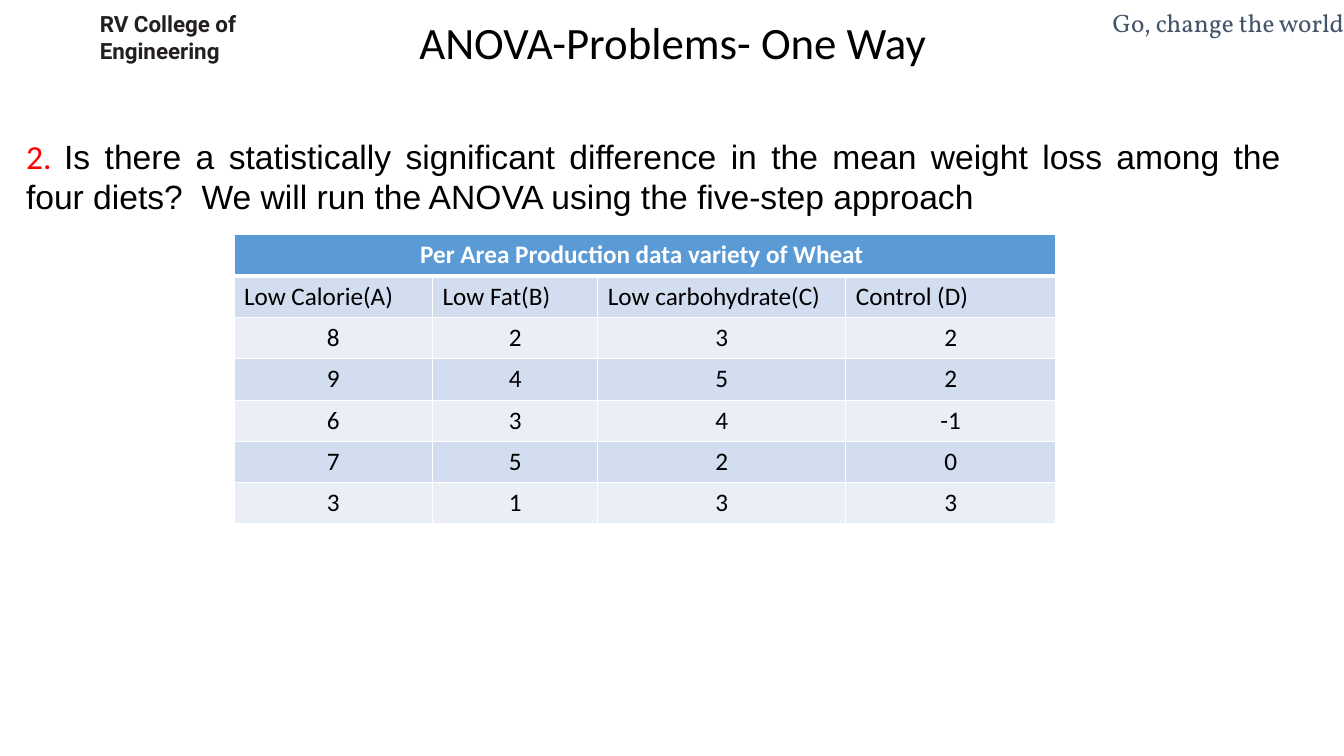
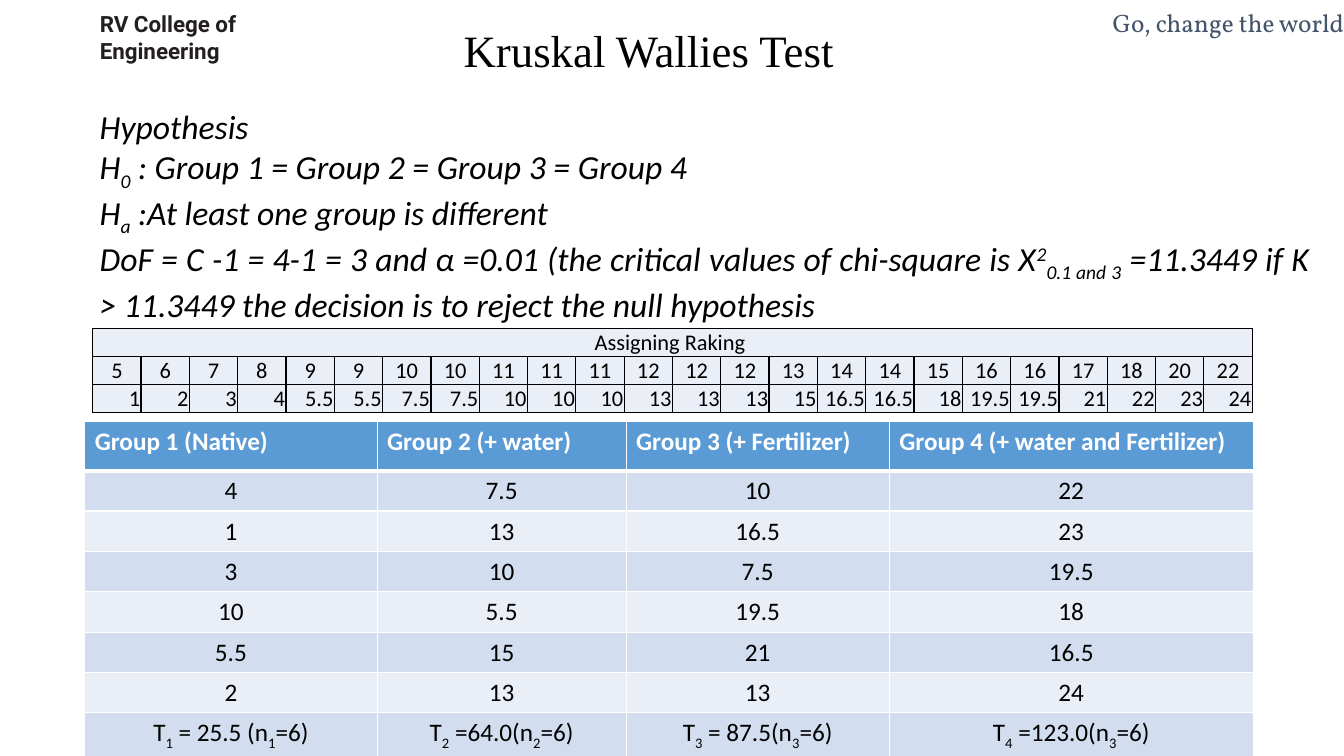
from lxml import etree
from pptx import Presentation
from pptx.dml.color import RGBColor
from pptx.enum.text import MSO_ANCHOR, PP_ALIGN
from pptx.oxml.ns import qn
from pptx.util import Inches, Pt

BLACK = RGBColor(0x00, 0x00, 0x00)
WHITE = RGBColor(0xFF, 0xFF, 0xFF)
RED = RGBColor(0xFF, 0x00, 0x00)
INK = RGBColor(0x23, 0x1F, 0x20)
SLATE = RGBColor(0x44, 0x54, 0x6A)
BLUE = RGBColor(0x5B, 0x9B, 0xD5)
BAND = RGBColor(0xD2, 0xDE, 0xEF)
PALE = RGBColor(0xEA, 0xEF, 0xF7)
SUB, SUPER = "-25000", "30000"


def set_text(frame, paragraphs, size=18, name="Calibri", color=BLACK,
             align=PP_ALIGN.LEFT, bold=False, italic=False):
    frame.word_wrap = True
    for index, parts in enumerate(paragraphs):
        para = frame.paragraphs[0] if index == 0 else frame.add_paragraph()
        para.alignment = align
        font = para.font
        font.size, font.name, font.bold, font.italic = Pt(size), name, bold, italic
        font.color.rgb = color
        for part in [parts] if isinstance(parts, str) else parts:
            text, baseline = (part, None) if isinstance(part, str) else part
            span = para.add_run()
            span.text = text
            if baseline:
                span.font._element.set("baseline", baseline)


def add_grid(page, left, top, widths, heights, rows, edge, rule=1):
    table = page.shapes.add_table(
        len(rows), len(widths), Inches(left), Inches(top),
        Inches(sum(widths)), Inches(sum(heights))).table
    table.first_row = table.horz_banding = False
    for column, width in zip(table.columns, widths):
        column.width = Inches(width)
    for index, (height, (texts, fill, style)) in enumerate(zip(heights, rows)):
        table.rows[index].height = Inches(height)
        for number, cell in enumerate(table.rows[index].cells):
            properties = cell._tc.get_or_add_tcPr()
            for side in ("lnL", "lnR", "lnT", "lnB"):
                below_header = (index, side) in ((0, "lnB"), (1, "lnT"))
                line = etree.SubElement(properties, qn(f"a:{side}"),
                                        w=str(Pt(rule if below_header else 1)))
                solid = etree.SubElement(line, qn("a:solidFill"))
                etree.SubElement(solid, qn("a:srgbClr"), val=str(edge))
            cell.fill.solid()
            cell.fill.fore_color.rgb = fill
            if number < len(texts):
                set_text(cell.text_frame, [texts[number]], **style)
        if len(texts) == 1:
            table.cell(index, 0).merge(table.cell(index, len(widths) - 1))
    return table


deck = Presentation()
deck.slide_width, deck.slide_height = Inches(13.33), Inches(7.5)

titles = [
    ("ANOVA-Problems- One Way", "Calibri", 2.66, 0.1, 8.03),
    ("Kruskal Wallies Test", "Times New Roman", 1.33, 0.18, 10.21),
]
pages = []
for title, typeface, left, top, width in titles:
    page = deck.slides.add_slide(deck.slide_layouts[6])
    pages.append(page)

    college = page.shapes.add_textbox(
        Inches(0.98), Inches(0.1), Inches(1.5), Inches(0.54)).text_frame
    set_text(college, ["RV College of", "Engineering"], 16, "Roboto", INK, bold=True)
    college.margin_left, college.margin_top = Inches(0.01), Inches(0.02)
    college.margin_right = college.margin_bottom = 0
    for para in college.paragraphs:
        para.line_spacing = Pt(17.9)
    college.paragraphs[1].space_before = Pt(1.4)

    motto = page.shapes.add_textbox(
        Inches(9.31), Inches(0.07), Inches(4.02), Inches(0.51)).text_frame
    set_text(motto, ["Go, change the world"], 18, "Vollkorn", SLATE, PP_ALIGN.RIGHT)
    motto.margin_left = motto.margin_right = motto.margin_top = motto.margin_bottom = 0

    heading = page.shapes.add_textbox(
        Inches(left), Inches(top), Inches(width), Inches(0.64)).text_frame
    set_text(heading, [title], 32, typeface, align=PP_ALIGN.CENTER)

anova, kruskal = pages
centered = {"align": PP_ALIGN.CENTER}
header = {"color": WHITE, "bold": True}

question = anova.shapes.add_textbox(
    Inches(0.16), Inches(1.3), Inches(12.64), Inches(0.9)).text_frame
set_text(question, [[
    "2. ",
    "Is there a statistically significant difference in the mean weight loss among "
    "the four diets?  We will run the ANOVA using the five-step approach",
]], 24, "Arial", align=PP_ALIGN.JUSTIFY)
number = question.paragraphs[0].runs[0]
number.font.name = "Calibri"
number.font.color.rgb = RED

diets = ["Low Calorie(A)", "Low Fat(B)", "Low carbohydrate(C)", "Control (D)"]
losses = ["8 2 3 2", "9 4 5 2", "6 3 4 -1", "7 5 2 0", "3 1 3 3"]
rows = [
    (["Per Area Production data variety of Wheat "], BLUE, {**header, **centered}),
    (diets, BAND, {}),
]
for index, values in enumerate(losses):
    rows.append((values.split(), (PALE, BAND)[index % 2], centered))
add_grid(anova, 2.32, 2.33, [1.97, 1.64, 2.46, 2.08], [0.41] * 7, rows, WHITE, 3)

hypothesis = kruskal.shapes.add_textbox(
    Inches(0.89), Inches(1), Inches(12.19), Inches(2.12)).text_frame
set_text(hypothesis, [
    "Hypothesis",
    ["H", ("0", SUB), " : Group 1 = Group 2 = Group 3 = Group 4"],
    ["H", ("a", SUB), " :At least one group is different"],
    ["DoF = C -1 = 4-1 = 3 and α =0.01 (the critical values of chi-square is X",
     ("2", SUPER), ("0.1 and 3", SUB),
     " =11.3449 if K > 11.3449 the decision is to reject the null hypothesis"],
], 24, align=PP_ALIGN.JUSTIFY, italic=True)

groups = ["Group 1 (Native)", "Group 2 (+ water)", "Group 3 (+ Fertilizer)",
          "Group 4 (+ water and Fertilizer)"]
group_ranks = ["4 7.5 10 22", "1 13 16.5 23", "3 10 7.5 19.5",
               "10 5.5 19.5 18", "5.5 15 21 16.5", "2 13 13 24"]
totals = [("1", " = 25.5 (n", "1"), ("2", " =64.0(n", "2"),
          ("3", " = 87.5(n", "3"), ("4", " =123.0(n", "3")]
rows = [(groups, BLUE, header)]
for index, values in enumerate(group_ranks):
    rows.append((values.split(), (BAND, PALE)[index % 2], centered))
rows.append(([["T", (group, SUB), total, (count, SUB), "=6)"]
              for group, total, count in totals], BAND, centered))
add_grid(kruskal, 0.84, 4.18, [2.9, 2.47, 2.61, 3.61],
         [0.49] + [0.4] * 6 + [0.63], rows, WHITE, 3)

scores = [5, 6, 7, 8, 9, 9, 10, 10, 11, 11, 11, 12,
          12, 12, 13, 14, 14, 15, 16, 16, 17, 18, 20, 22]
ranks = [scores.index(score) + (scores.count(score) + 1) / 2 for score in scores]
middle = {"size": 16, "align": PP_ALIGN.CENTER}
rows = [
    (["Assigning Raking "], PALE, middle),
    ([str(score) for score in scores], PALE, middle),
    ([f"{rank:g}" for rank in ranks], PALE, {"size": 16, "align": PP_ALIGN.RIGHT}),
]
ranking = add_grid(kruskal, 0.92, 3.26, [11.5 / len(scores)] * len(scores),
                   [0.27] * 3, rows, BLACK)
for row, anchor in zip(ranking.rows, (MSO_ANCHOR.MIDDLE, MSO_ANCHOR.MIDDLE, MSO_ANCHOR.BOTTOM)):
    for cell in row.cells:
        cell.vertical_anchor = anchor
        cell.margin_left = cell.margin_right = cell.margin_top = Inches(0.01)
        cell.margin_bottom = 0

deck.save("out.pptx")
